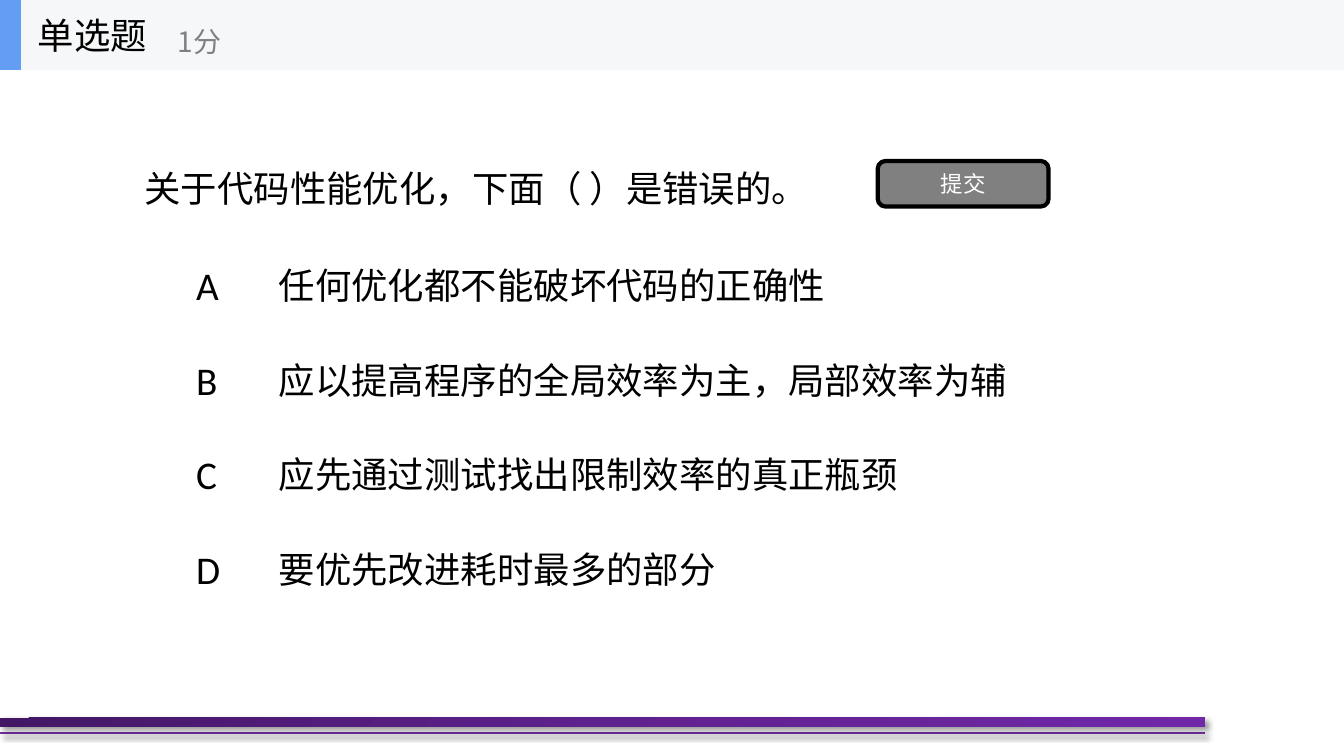
from copy import deepcopy

from lxml import etree
from pptx import Presentation
from pptx.dml.color import RGBColor
from pptx.enum.shapes import MSO_CONNECTOR, MSO_SHAPE
from pptx.enum.text import MSO_ANCHOR, MSO_AUTO_SIZE, PP_ALIGN
from pptx.oxml import parse_xml
from pptx.oxml.ns import nsdecls, qn
from pptx.util import Pt

COLORS = {
    "black": "000000", "white": "FFFFFF", "gray": "808080",
    "band": "F6F7F8", "accent": "639EF4", "rule": "7030A0",
    "bar_start": "431764", "bar_middle": "5F218E", "bar_end": "7128A8",
}
CJK_FONT = "Noto Sans CJK SC"
OPTIONS = {
    "A": "任何优化都不能破坏代码的正确性",
    "B": "应以提高程序的全局效率为主，局部效率为辅",
    "C": "应先通过测试找出限制效率的真正瓶颈",
    "D": "要优先改进耗时最多的部分",
}


def color(name):
    return RGBColor.from_string(COLORS[name])


def place(shape, left, top, width, height):
    shape.left, shape.top = Pt(left), Pt(top)
    shape.width, shape.height = Pt(width), Pt(height)


def write(shape, text, size=26, color_name="black", font_name=CJK_FONT, align=PP_ALIGN.LEFT):
    frame = shape.text_frame
    frame.word_wrap = True
    frame.auto_size = MSO_AUTO_SIZE.NONE
    frame.vertical_anchor = MSO_ANCHOR.MIDDLE
    paragraph = frame.paragraphs[0]
    paragraph.text = text
    paragraph.alignment = align
    font = paragraph.font
    font.size, font.name = Pt(size), font_name
    font.color.rgb = color(color_name)
    latin = font._element.find(qn("a:latin"))
    east_asian = etree.Element(qn("a:ea"), typeface=CJK_FONT)
    latin.addnext(east_asian)


def add_text(slide, box, text, **style):
    textbox = slide.shapes.add_textbox(*map(Pt, box))
    write(textbox, text, **style)


def add_block(slide, kind, box, fill=None):
    shape = slide.shapes.add_shape(kind, *map(Pt, box))
    shape.shadow.inherit = False
    shape.line.fill.background()
    if fill:
        shape.fill.solid()
        shape.fill.fore_color.rgb = color(fill)
    return shape


def cast_shadow(shape):
    properties = shape._element.spPr
    for effects in properties.findall(qn("a:effectLst")):
        properties.remove(effects)
    properties.append(parse_xml(
        f'<a:effectLst {nsdecls("a")}><a:outerShdw blurRad="{Pt(4)}" dist="{Pt(3)}" '
        'dir="2700000" algn="tl" rotWithShape="0"><a:srgbClr val="000000">'
        '<a:alpha val="40000"/></a:srgbClr></a:outerShdw></a:effectLst>'))


def add_footer(slide, left, top, width, height):
    """Draw a gradient bar along the top of the box and a thin rule along its bottom."""
    rule = slide.shapes.add_connector(
        MSO_CONNECTOR.STRAIGHT, Pt(left), Pt(top + height), Pt(left + width), Pt(top + height))
    rule.line.color.rgb = color("rule")
    rule.line.width = Pt(1.5)
    cast_shadow(rule)

    bar = add_block(slide, MSO_SHAPE.RECTANGLE, (left, top, width, 6.5))
    bar.fill.gradient()
    bar.fill.gradient_angle = 315
    first_stop = bar.fill._xPr.find(".//" + qn("a:gs"))
    first_stop.addnext(deepcopy(first_stop))
    stop_colors = ("bar_start", "bar_middle", "bar_end")
    for stop, position, name in zip(bar.fill.gradient_stops, (0, 0.5, 1), stop_colors):
        stop.position = position
        stop.color.rgb = color(name)
    cast_shadow(bar)


def add_header(slide, left, top, width, height):
    add_block(slide, MSO_SHAPE.RECTANGLE, (left, top, width, height), "band")
    add_block(slide, MSO_SHAPE.RECTANGLE, (left, top, 15, height), "accent")
    add_text(slide, (left + 20, top, 100, height), "单选题")
    add_text(slide, (left + 120, top + 9, 180, height - 9), "1分", size=20, color_name="gray")


def add_question(slide, left, top, width, height):
    title = slide.shapes.title
    place(title, left, top, width, height)
    write(title, "关于代码性能优化，下面（ ）是错误的。")


def add_options(slide, left, top, width, row_height, pitch):
    for row, (letter, answer) in enumerate(OPTIONS.items()):
        row_top = top + row * pitch
        add_text(slide, (left, row_top, 40, row_height), letter, size=28, font_name="Calibri")
        add_text(slide, (left + 59, row_top, width - 59, row_height), answer)


def add_submit_button(slide, *box):
    button = add_block(slide, MSO_SHAPE.ROUNDED_RECTANGLE, box, "gray")
    button.line.color.rgb = color("black")
    button.line.width = Pt(3)
    write(button, "提交", size=16, color_name="white", align=PP_ALIGN.CENTER)


def main():
    presentation = Presentation()
    presentation.slide_width, presentation.slide_height = Pt(960), Pt(540)
    slide = presentation.slides.add_slide(presentation.slide_layouts[5])
    add_footer(slide, 0, 512.5, 860.5, 11)
    add_question(slide, 96, 50, 768, 168)
    add_options(slide, 133, 178.5, 731, 50.5, 67.5)
    add_submit_button(slide, 627, 115, 122, 32.5)
    add_header(slide, 0, 0, 960, 50)
    presentation.save("out.pptx")


if __name__ == "__main__":
    main()
